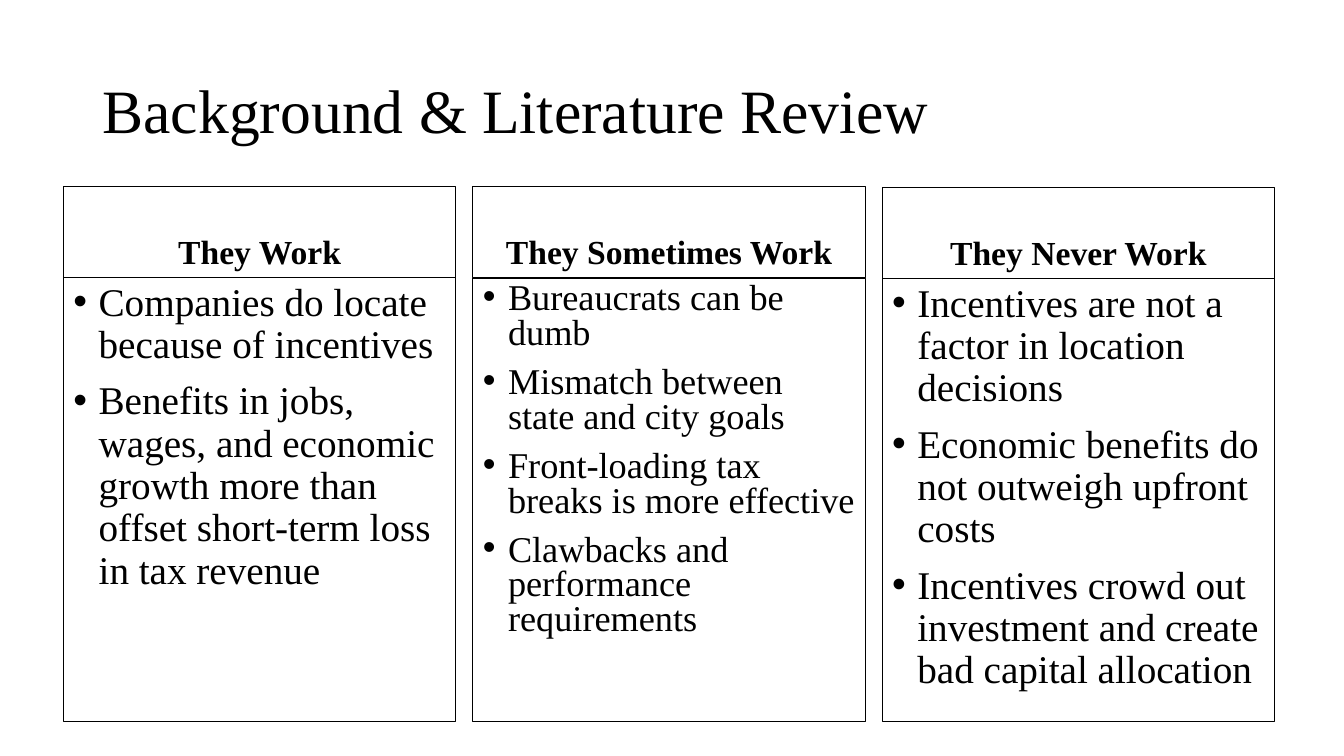
from lxml import etree
from pptx import Presentation
from pptx.dml.color import RGBColor
from pptx.enum.shapes import MSO_SHAPE
from pptx.enum.text import MSO_ANCHOR, PP_ALIGN
from pptx.oxml.ns import qn
from pptx.util import Inches, Pt

RECTANGLE = MSO_SHAPE.RECTANGLE
TOP, MIDDLE, BOTTOM = MSO_ANCHOR.TOP, MSO_ANCHOR.MIDDLE, MSO_ANCHOR.BOTTOM
LEFT, CENTER = PP_ALIGN.LEFT, PP_ALIGN.CENTER

TITLE = "Background & Literature Review"
COLUMNS = [
    {
        "heading": "They Work",
        "points": [
            "Companies do locate because of incentives",
            "Benefits in jobs, wages, and economic growth more than offset short-term loss in tax revenue",
        ],
        "top": 1.85, "body_top": 2.75, "size": 28, "spacing": 0.9,
    },
    {
        "heading": "They Sometimes Work",
        "points": [
            "Bureaucrats can be dumb",
            "Mismatch between state and city goals",
            "Front-loading tax breaks is more effective",
            "Clawbacks and performance requirements",
        ],
        "top": 1.85, "body_top": 2.76, "size": 25.9, "spacing": 0.8,
    },
    {
        "heading": "They Never Work",
        "points": [
            "Incentives are not a factor in location decisions",
            "Economic benefits do not outweigh upfront costs",
            "Incentives crowd out investment and create bad capital allocation",
        ],
        "top": 1.86, "body_top": 2.76, "size": 28, "spacing": 0.9,
    },
]

THEME = {
    "font": "Times New Roman",
    "bullet_font": "Arial",
    "ink": RGBColor(0, 0, 0),
    "paper": RGBColor(255, 255, 255),
    "title_size": 44,
    "heading_size": 24,
    "border": 0.75,
}

FIRST_LEFT, COLUMN_STEP, COLUMN_WIDTH = 0.63, 4.06, 3.89
HEADING_HEIGHT, COLUMNS_BOTTOM = 0.9, 7.16
BULLET_INDENT = 0.25


def add_bullet(para):
    properties = para._p.get_or_add_pPr()
    properties.set("marL", str(Inches(BULLET_INDENT)))
    properties.set("indent", str(-Inches(BULLET_INDENT)))
    etree.SubElement(properties, qn("a:buFont"), typeface=THEME["bullet_font"])
    etree.SubElement(properties, qn("a:buChar"), char="•")


def write_text(box, lines, *, size, bold=False, align=LEFT, anchor=TOP,
               spacing=0.9, before=0, bullets=False):
    frame = box.text_frame
    frame.word_wrap = True
    frame.vertical_anchor = anchor
    for index, line in enumerate(lines):
        para = frame.paragraphs[0] if index == 0 else frame.add_paragraph()
        para.alignment = align
        para.line_spacing = spacing
        para.space_before = Pt(before)
        if bullets:
            add_bullet(para)
        span = para.add_run()
        span.text = line
        span.font.name = THEME["font"]
        span.font.size = Pt(size)
        span.font.bold = bold
        span.font.color.rgb = THEME["ink"]


def add_panel(page, left, top, height):
    panel = page.shapes.add_shape(
        RECTANGLE, Inches(left), Inches(top), Inches(COLUMN_WIDTH), Inches(height))
    panel.shadow.inherit = False
    panel.fill.background()
    panel.line.color.rgb = THEME["ink"]
    panel.line.width = Pt(THEME["border"])
    return panel


def main():
    deck = Presentation()
    deck.slide_width, deck.slide_height = Inches(13.33), Inches(7.5)
    page = deck.slides.add_slide(deck.slide_layouts[6])
    page.background.fill.solid()
    page.background.fill.fore_color.rgb = THEME["paper"]

    title = page.shapes.add_textbox(Inches(0.92), Inches(0.4), Inches(11.5), Inches(1.45))
    write_text(title, [TITLE], size=THEME["title_size"], anchor=MIDDLE)

    for index, column in enumerate(COLUMNS):
        left = FIRST_LEFT + index * COLUMN_STEP
        heading = add_panel(page, left, column["top"], HEADING_HEIGHT)
        write_text(heading, [column["heading"]], size=THEME["heading_size"],
                   bold=True, align=CENTER, anchor=BOTTOM, before=10)
        body = add_panel(page, left, column["body_top"], COLUMNS_BOTTOM - column["body_top"])
        write_text(body, column["points"], size=column["size"],
                   spacing=column["spacing"], before=10, bullets=True)

    deck.save("out.pptx")


if __name__ == "__main__":
    main()
